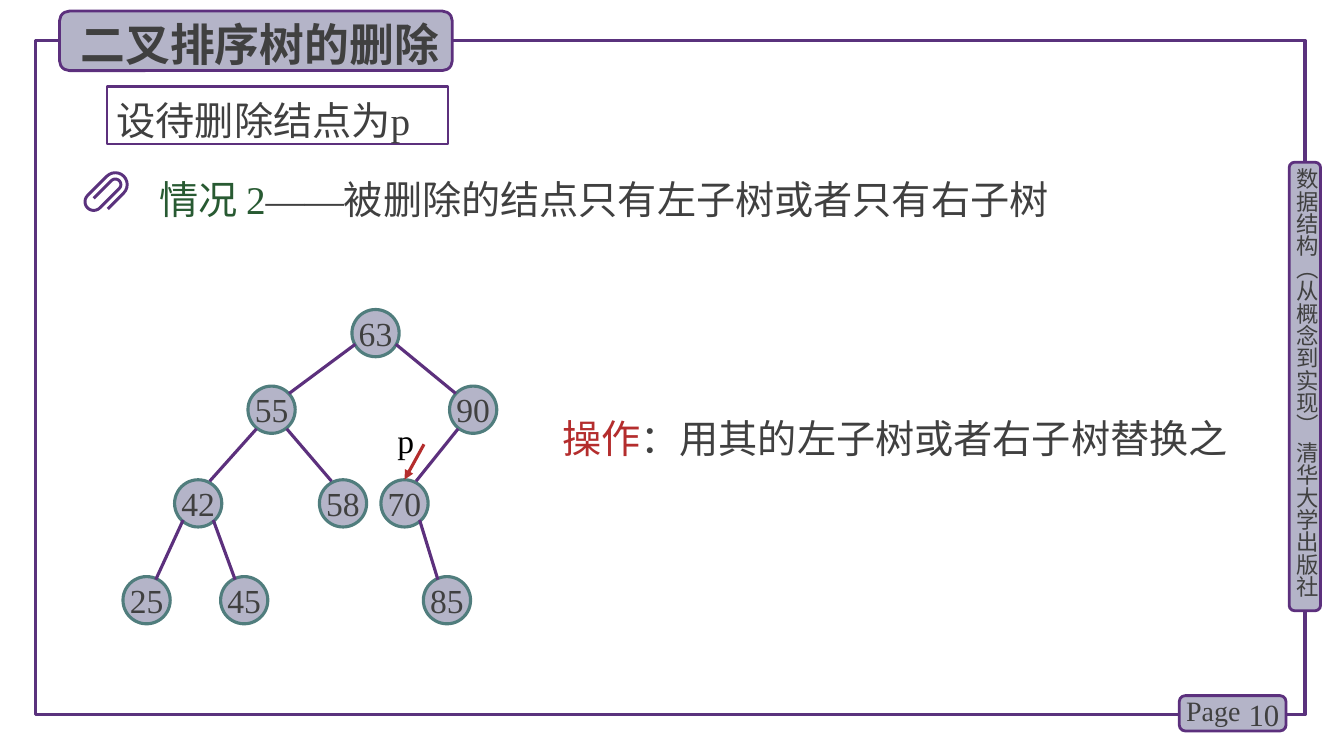
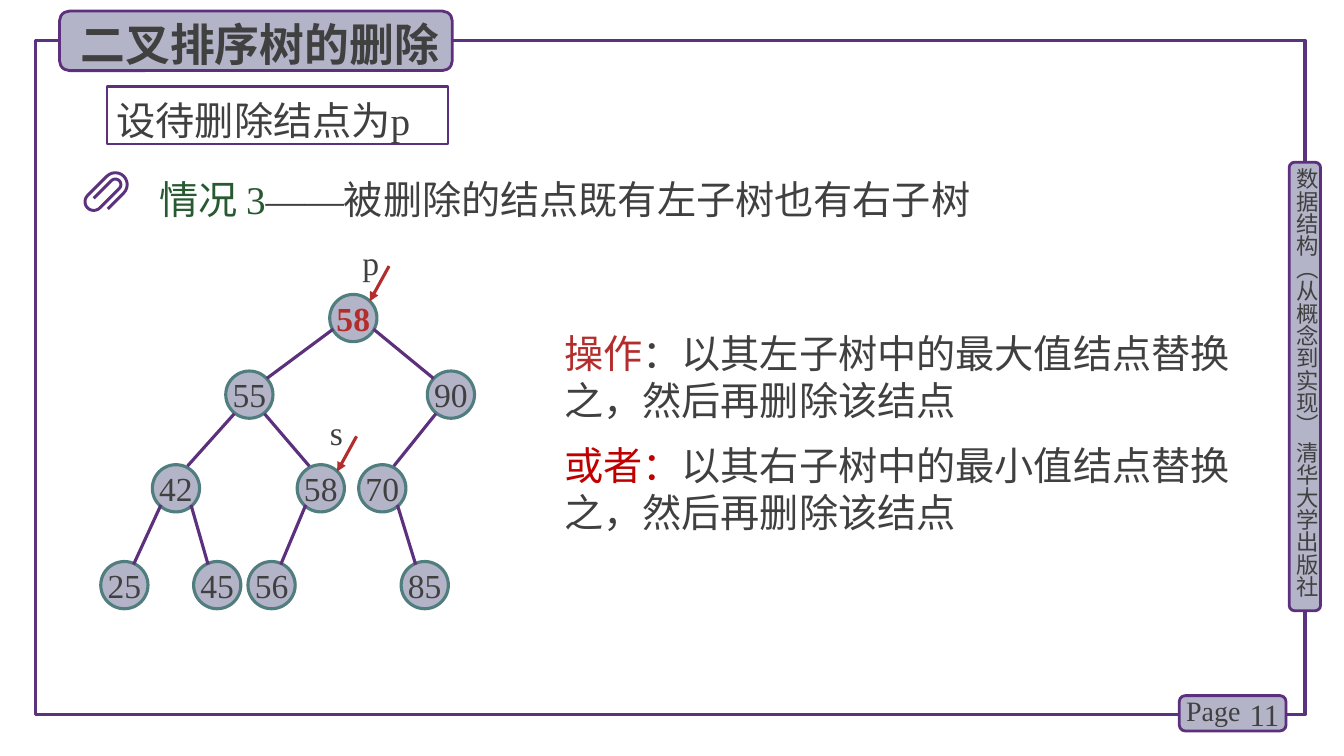
import math

from pptx import Presentation
from pptx import util as u
from pptx.dml.color import RGBColor
from pptx.enum import shapes, text
from pptx.oxml import ns, xmlchemy

PURPLE = RGBColor(0x5C, 0x30, 0x7D)
FRAME_PURPLE = RGBColor(0x5A, 0x32, 0x7D)
LAVENDER = RGBColor(0xB4, 0xB4, 0xC8)
TEAL = RGBColor(0x50, 0x7D, 0x7D)
GREY = RGBColor(0x40, 0x40, 0x40)
GREEN = RGBColor(0x28, 0x5A, 0x32)
RED = RGBColor(0xB4, 0x2D, 0x2D)
BRIGHT_RED = RGBColor(0xC0, 0x00, 0x00)
BLACK = RGBColor(0, 0, 0)

SERIF = "Times New Roman"
SANS = "Noto Sans CJK SC"
CHINESE_TOP = 0.24

DIAMETER = 1.19
LEVEL_TOPS = (0, 1.93, 4.29, 6.73)
NODE_LEFTS = {
    "": 5.77, "L": 3.15, "R": 8.23, "LL": 1.3, "LR": 4.95, "RL": 6.5,
    "LLL": 0, "LLR": 2.46, "LRL": 3.71, "RLR": 7.57,
}
EDGE_OFFSETS = {
    1: ((0.51, 0.28), (0.44, 0.41)),
    2: ((0.38, 0.48), (0.29, 0.56)),
    3: ((0.38, 0.42), (0.23, 0.52)),
}


def write(shape, paragraphs, size=28, font=SERIF, bold=False, color=GREY,
          align=text.PP_ALIGN.LEFT, anchor=text.MSO_ANCHOR.TOP,
          insets=(0.25, 0.13, 0.25, 0), spacing=None, gap=0, wrap=True):
    """Write paragraphs, each a string or a list of (string, colour) runs."""
    frame = shape.text_frame
    frame.word_wrap = wrap
    frame.vertical_anchor = anchor
    (frame.margin_left, frame.margin_top,
     frame.margin_right, frame.margin_bottom) = map(u.Cm, insets)
    for index, content in enumerate(paragraphs):
        paragraph = frame.add_paragraph() if index else frame.paragraphs[0]
        paragraph.alignment = align
        paragraph.line_spacing = u.Pt(spacing or round(size * 1.2, 1))
        if index:
            paragraph.space_before = u.Pt(gap)
        runs = [(content, color)] if isinstance(content, str) else content
        for words, run_color in runs:
            run = paragraph.add_run()
            run.text = words
            run.font.size = u.Pt(size)
            run.font.bold = bold
            run.font.name = font
            run.font.color.rgb = run_color
            east_asian = xmlchemy.OxmlElement("a:ea")
            east_asian.set("typeface", SANS)
            run.font._element.find(ns.qn("a:latin")).addnext(east_asian)


def text_box(slide, box, paragraphs, **style):
    """Add a text box at left, top, width, height."""
    shape = slide.shapes.add_textbox(*map(u.Cm, box))
    write(shape, paragraphs, **style)
    return shape


def panel(slide, kind, box, fill=LAVENDER, line=PURPLE, weight=2):
    """Add a preset shape with a flat fill and outline."""
    shape = slide.shapes.add_shape(kind, *map(u.Cm, box))
    shape.shadow.inherit = False
    if fill is None:
        shape.fill.background()
    else:
        shape.fill.solid()
        shape.fill.fore_color.rgb = fill
    shape.line.color.rgb = line
    shape.line.width = u.Pt(weight)
    return shape


def straight(slide, start, end, color=PURPLE, arrow=False):
    """Add a straight line, with an arrowhead at its end if wanted."""
    line = slide.shapes.add_connector(
        shapes.MSO_CONNECTOR.STRAIGHT, *map(u.Cm, (*start, *end)))
    line.line.color.rgb = color
    line.line.width = u.Pt(2.25)
    if arrow:
        head = xmlchemy.OxmlElement("a:tailEnd")
        head.set("type", "triangle")
        line.line._get_or_add_ln().append(head)
    line._element.spPr.append(xmlchemy.OxmlElement("a:effectLst"))


def page_frame(slide, number):
    """Draw the border, the side band and the page badge."""
    rounded = shapes.MSO_SHAPE.ROUNDED_RECTANGLE
    panel(slide, shapes.MSO_SHAPE.RECTANGLE, (0.89, 1.02, 32, 16.99),
          fill=None, line=FRAME_PURPLE, weight=2.25)
    panel(slide, rounded, (32.49, 4.09, 0.79, 11.3))
    band = text_box(slide, (32.58, 4.24, 0.69, 11.4),
                    ["数据结构（从概念到实现） 清华大学出版社"],
                    size=16, font=SANS, insets=(0, 0, 0, 0), spacing=19)
    band.text_frame._txBody.bodyPr.set("vert", "eaVert")
    panel(slide, rounded, (29.72, 17.53, 2.69, 0.89))
    text_box(slide, (30.99, 17.42, 1.5, 1.02), [str(number)], size=22,
             align=text.PP_ALIGN.RIGHT, anchor=text.MSO_ANCHOR.MIDDLE)
    text_box(slide, (29.64, 17.35, 1.98, 1.12), ["Page"], size=20)


def title_band(slide, left, top):
    """Place the slide title and the premise box below it."""
    panel(slide, shapes.MSO_SHAPE.ROUNDED_RECTANGLE, (left, top, 9.9, 1.5))
    text_box(slide, (left + 0.28, top - 0.1, 9.62, 1.63),
             ["二叉排序树的删除"], size=32, font=SANS, bold=True,
             insets=(0.25, CHINESE_TOP, 0.25, 0))
    premise = panel(slide, shapes.MSO_SHAPE.RECTANGLE,
                    (left + 1.19, top + 1.9, 8.61, 1.45), fill=None, weight=1.5)
    write(premise, ["设待删除结点为p"], insets=(0.25, CHINESE_TOP, 0.25, 0))


def paperclip(slide, left, top):
    """Draw a slanted paperclip as one open wire."""
    wire = [(-0.22, 1.12)]
    for along, across, radius, first in (
            (0.35, 0.82, 0.3, 90), (-0.34, 0.74, 0.22, 270), (0.35, 0.82, 0.14, 90)):
        for step in range(13):
            angle = math.radians(first - 15 * step)
            wire.append((along + radius * math.cos(angle),
                         across + radius * math.sin(angle)))
    wire.append((-0.28, 0.68))
    points = [(u.Cm(left + (along + across) / math.sqrt(2)),
               u.Cm(top + (across - along) / math.sqrt(2)))
              for along, across in wire]
    builder = slide.shapes.build_freeform(*points[0], scale=1.0)
    builder.add_line_segments(points[1:], close=False)
    clip = builder.convert_to_shape()
    clip.shadow.inherit = False
    clip.fill.background()
    clip.line.color.rgb = FRAME_PURPLE
    clip.line.width = u.Pt(2.1)


def case_heading(slide, left, top, case, condition):
    """Place the paperclip and the statement of the case."""
    paperclip(slide, left, top + 0.15)
    text_box(slide, (left + 1.68, top, 27.81, 1.45),
             [[(case, GREEN), ("——" + condition, GREY)]],
             insets=(0.25, CHINESE_TOP, 0.25, 0))


def pointer(slide, tip, name, color=GREY):
    """Draw a named red arrow that ends at the tip."""
    x, y = tip
    straight(slide, (x + 0.49, y - 0.89), tip, color=RED, arrow=True)
    text_box(slide, (x - 0.43, y - 1.63, 0.76, 1.3), [name], size=24, color=color)


def search_tree(slide, left, top, keys, lefts=NODE_LEFTS, marked=None):
    """Draw a tree keyed by L/R paths and return the node centres."""
    centres = {}
    for place, key in keys.items():
        x, y = left + lefts[place], top + LEVEL_TOPS[len(place)]
        centres[place] = (x + DIAMETER / 2, y + DIAMETER / 2)
        node = panel(slide, shapes.MSO_SHAPE.OVAL, (x, y, DIAMETER, DIAMETER),
                     line=TEAL, weight=2.25)
        write(node, [str(key)], size=24, spacing=26, insets=(0, 0, 0, 0),
              align=text.PP_ALIGN.CENTER, wrap=False,
              bold=place == marked, color=RED if place == marked else GREY)
    for place, (child_x, child_y) in centres.items():
        if place:
            parent_x, parent_y = centres[place[:-1]]
            side = -1 if place.endswith("L") else 1
            (out_x, out_y), (in_x, in_y) = EDGE_OFFSETS[len(place)]
            straight(slide, (parent_x + side * out_x, parent_y + out_y),
                     (child_x - side * in_x, child_y - in_y))
    return centres


def operation(slide, box, paragraphs):
    """Place the text that says how the node is deleted."""
    text_box(slide, box, paragraphs, gap=13, insets=(0.25, CHINESE_TOP, 0.25, 0))


def case_slide(deck, number, case, condition):
    """Start a slide with the frame, title and case heading."""
    slide = deck.slides.add_slide(deck.slide_layouts[6])
    page_frame(slide, number)
    title_band(slide, 1.5, 0.28)
    case_heading(slide, 2.08, 4.17, case, condition)
    return slide


def one_subtree_slide(deck):
    """Build the case of a node with a single subtree."""
    slide = case_slide(deck, 10, "情况 2", "被删除的结点只有左子树或者只有右子树")
    centres = search_tree(slide, 3.1, 7.8, {
        "": 63, "L": 55, "R": 90, "LL": 42, "LR": 58, "RL": 70,
        "LLL": 25, "LLR": 45, "RLR": 85})
    x, y = centres["RL"]
    pointer(slide, (x, y - 0.6), "p", color=BLACK)
    operation(slide, (13.92, 10.21, 17.75, 1.45),
              [[("操作", RED), ("：用其的左子树或者右子树替换之", GREY)]])


def two_subtrees_slide(deck):
    """Build the case of a node with both subtrees."""
    slide = case_slide(deck, 11, "情况 3", "被删除的结点既有左子树也有右子树")
    centres = search_tree(slide, 2.54, 7.42, {
        "": 58, "L": 55, "R": 90, "LL": 42, "LR": 58, "RL": 70,
        "LLL": 25, "LLR": 45, "LRL": 56, "RLR": 85},
        lefts=NODE_LEFTS | {"LLR": 2.34}, marked="")
    for place, name in (("", "p"), ("LR", "s")):
        x, y = centres[place]
        pointer(slide, (x + 0.41, y - 0.42), name)
    operation(slide, (13.97, 8.05, 17.91, 5.64), [
        [("操作", RED), ("：以其左子树中的最大值结点替换之，然后再删除该结点", GREY)],
        [("或者：", BRIGHT_RED), ("以其右子树中的最小值结点替换之，然后再删除该结点", GREY)]])


def main():
    """Build and save the presentation."""
    deck = Presentation()
    deck.slide_width, deck.slide_height = u.Cm(33.87), u.Cm(19.05)
    one_subtree_slide(deck)
    two_subtrees_slide(deck)
    deck.save("out.pptx")


if __name__ == "__main__":
    main()
